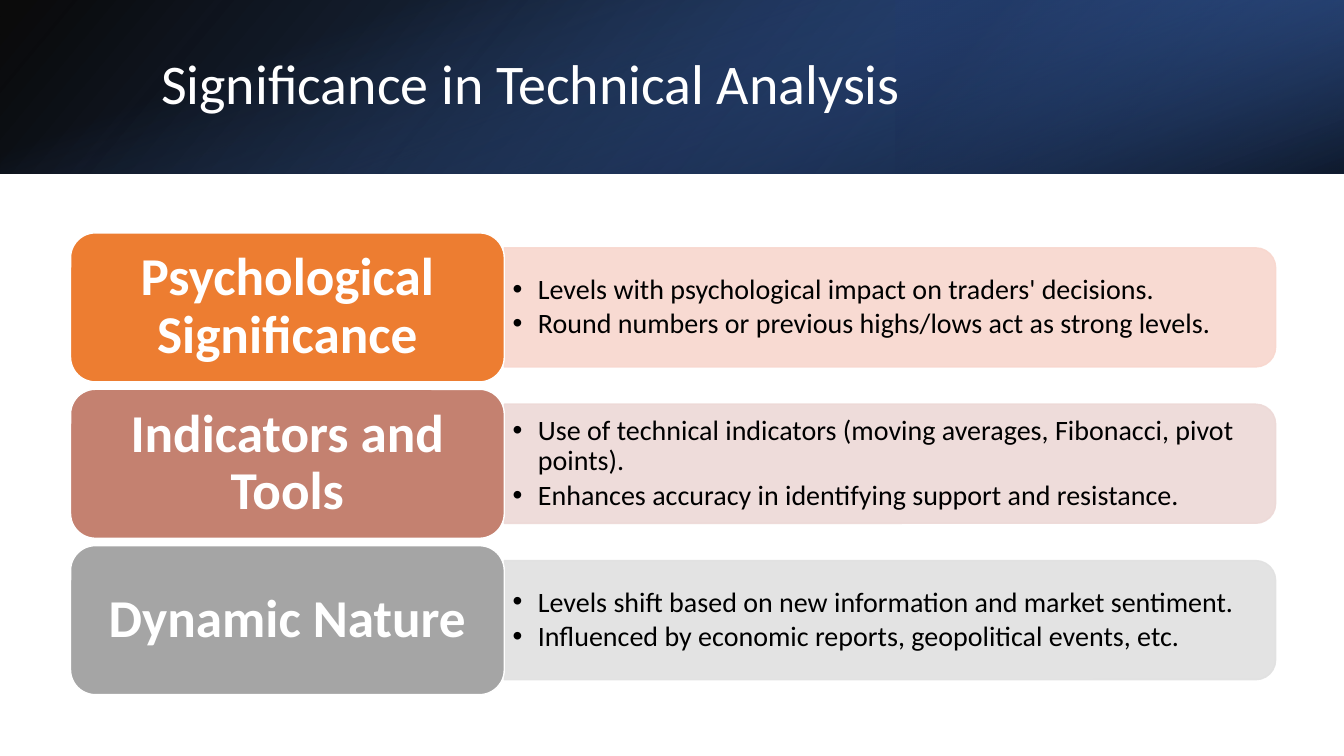
from lxml.etree import SubElement
from pptx import Presentation
from pptx.dml.color import RGBColor
from pptx.enum.shapes import MSO_SHAPE
from pptx.enum.text import MSO_ANCHOR, PP_ALIGN
from pptx.oxml.ns import qn
from pptx.util import Pt

TITLE = "Significance in Technical Analysis"
ROWS = [
    ("Psychological Significance", "orange", "pale_orange", [
        "Levels with psychological impact on traders' decisions.",
        "Round numbers or previous highs/lows act as strong levels."]),
    ("Indicators and Tools", "rose", "pale_rose", [
        "Use of technical indicators (moving averages, Fibonacci, pivot points).",
        "Enhances accuracy in identifying support and resistance."]),
    ("Dynamic Nature", "gray", "pale_gray", [
        "Levels shift based on new information and market sentiment.",
        "Influenced by economic reports, geopolitical events, etc."]),
]
COLORS = {
    "white": "FFFFFF", "black": "000000", "blue": "4472C4", "deep_blue": "2F5597",
    "navy": "203864", "orange": "ED7D31", "rose": "C48170", "gray": "A5A5A5",
    "pale_orange": "F8D7CE", "pale_rose": "EDD9D7", "pale_gray": "E1E1E1",
}
WIDTH, HEIGHT, HEADER = 960, 540, 124
# Each layer: box, rotation, flipped, angle, stops of (position, colour, opacity)
HEADER_LAYERS = [
    ((0, 0, WIDTH, HEADER), 0, True, 140, [(0, "black", 96), (100, "deep_blue", 100)]),
    ((WIDTH * 2 / 3, 0, WIDTH / 3, HEADER), 180, True, 320,
     [(19, "navy", 68), (100, "blue", 79)]),
    ((0, 0, WIDTH, HEADER), 90, False, 340, [(23, "blue", 0), (99, "black", 74)]),
]
LABEL_LEFT, LABEL_WIDTH, LABEL_HEIGHT = 50.4, 309.8, 106.4
ROWS_TOP, ROW_PITCH = 166.4, 111.7
BAR_WIDTH, BAR_HEIGHT = 551, 85.1
BULLET_WIDTH, BULLET_HEIGHT = 546.5, 77
BULLET_INDENT = 18

LABEL_FORMAT = {"size": Pt(38), "bold": True, "name": "Calibri"}
BULLET_FORMAT = {"size": Pt(20), "name": "Calibri"}
TITLE_FORMAT = {"size": Pt(40), "name": "Calibri"}


def rgb(name):
    """Return the named colour."""
    return RGBColor.from_string(COLORS[name])


def set_opacity(color_element, percent):
    """Give a colour element an opacity."""
    SubElement(color_element, qn("a:alpha")).set("val", str(percent * 1000))


def add_shape(slide, kind, box, rotation=0):
    """Add a shape that fills the box after any quarter turn."""
    left, top, width, height = box
    if rotation == 90:
        left, top = left + (width - height) / 2, top + (height - width) / 2
        width, height = height, width
    shape = slide.shapes.add_shape(kind, Pt(left), Pt(top), Pt(width), Pt(height))
    shape.rotation = rotation
    shape.shadow.inherit = False
    return shape


def paint(shape, fill, line, opacity=100):
    """Set a solid fill and a thin outline."""
    shape.fill.solid()
    shape.fill.fore_color.rgb = rgb(fill)
    shape.line.color.rgb = rgb(line)
    shape.line.width = Pt(1)
    if opacity < 100:
        for color in shape._element.spPr.iter(qn("a:srgbClr")):
            set_opacity(color, opacity)


def add_header_layer(slide, box, rotation, flipped, angle, stops):
    """Add one translucent gradient layer of the header."""
    shape = add_shape(slide, MSO_SHAPE.RECTANGLE, box, rotation)
    shape.line.fill.background()
    if flipped:
        shape._element.spPr.xfrm.set("flipH", "1")
    shape.fill.gradient()
    shape.fill.gradient_angle = 360 - angle
    for stop, (position, color, opacity) in zip(shape.fill.gradient_stops, stops):
        stop.position = position / 100
        stop.color.rgb = rgb(color)
    for element, (_, _, opacity) in zip(shape._element.spPr.iter(qn("a:srgbClr")), stops):
        set_opacity(element, opacity)


def write(shape, lines, color, font_format, align, margins, space=0):
    """Fill a shape with vertically centred paragraphs and return them."""
    frame = shape.text_frame
    side, edge = margins
    settings = {"word_wrap": True, "vertical_anchor": MSO_ANCHOR.MIDDLE,
                "margin_left": Pt(side), "margin_right": Pt(side),
                "margin_top": Pt(edge), "margin_bottom": Pt(edge)}
    for name, value in settings.items():
        setattr(frame, name, value)
    frame.text = "\n".join(lines)
    for paragraph in frame.paragraphs:
        paragraph.alignment = align
        paragraph.line_spacing = 0.9
        paragraph.space_after = Pt(space)
        font = paragraph.runs[0].font
        font.color.rgb = rgb(color)
        for name, value in font_format.items():
            setattr(font, name, value)
    return frame.paragraphs


def add_bullet(paragraph):
    """Give a paragraph a hanging bullet."""
    properties = paragraph._p.get_or_add_pPr()
    properties.set("marL", str(Pt(BULLET_INDENT)))
    properties.set("indent", str(-Pt(BULLET_INDENT)))
    SubElement(properties, qn("a:buFont")).set("typeface", "Arial")
    SubElement(properties, qn("a:buChar")).set("char", "•")


def add_row(slide, index, label, label_color, bar_color, bullets):
    """Add a label block with its bar of bullets."""
    top = ROWS_TOP + index * ROW_PITCH
    middle = top + LABEL_HEIGHT / 2
    bar_left = LABEL_LEFT + LABEL_WIDTH
    bar = add_shape(slide, MSO_SHAPE.ROUND_2_SAME_RECTANGLE,
                    (bar_left, middle - BAR_HEIGHT / 2, BAR_WIDTH, BAR_HEIGHT), 90)
    paint(bar, bar_color, bar_color, 90)
    text_box = slide.shapes.add_textbox(
        Pt(bar_left), Pt(middle - BULLET_HEIGHT / 2), Pt(BULLET_WIDTH), Pt(BULLET_HEIGHT))
    for paragraph in write(text_box, bullets, "black", BULLET_FORMAT,
                           PP_ALIGN.LEFT, (6, 3), 3):
        add_bullet(paragraph)
    block = add_shape(slide, MSO_SHAPE.ROUNDED_RECTANGLE,
                      (LABEL_LEFT, top, LABEL_WIDTH, LABEL_HEIGHT))
    paint(block, label_color, "white")
    write(block, [label], "white", LABEL_FORMAT, PP_ALIGN.CENTER, (16.6, 11))


presentation = Presentation()
presentation.slide_width, presentation.slide_height = Pt(WIDTH), Pt(HEIGHT)
slide = presentation.slides.add_slide(presentation.slide_layouts[6])
for layer in HEADER_LAYERS:
    add_header_layer(slide, *layer)
title_box = slide.shapes.add_textbox(Pt(108), Pt(27.2), Pt(790.6), Pt(69))
write(title_box, [TITLE], "white", TITLE_FORMAT, PP_ALIGN.LEFT, (7.2, 3.6))
for index, row in enumerate(ROWS):
    add_row(slide, index, *row)
presentation.save("out.pptx")
